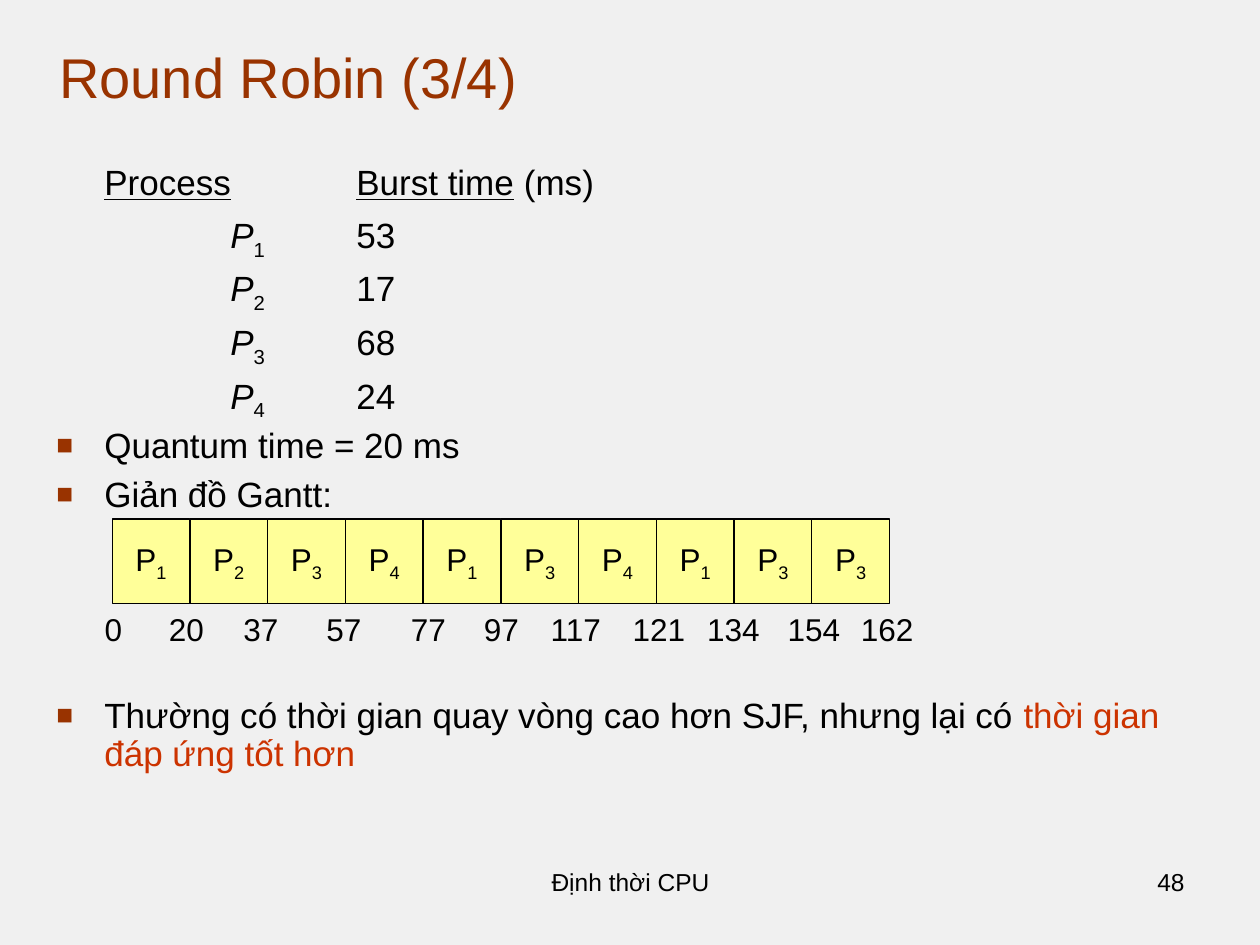
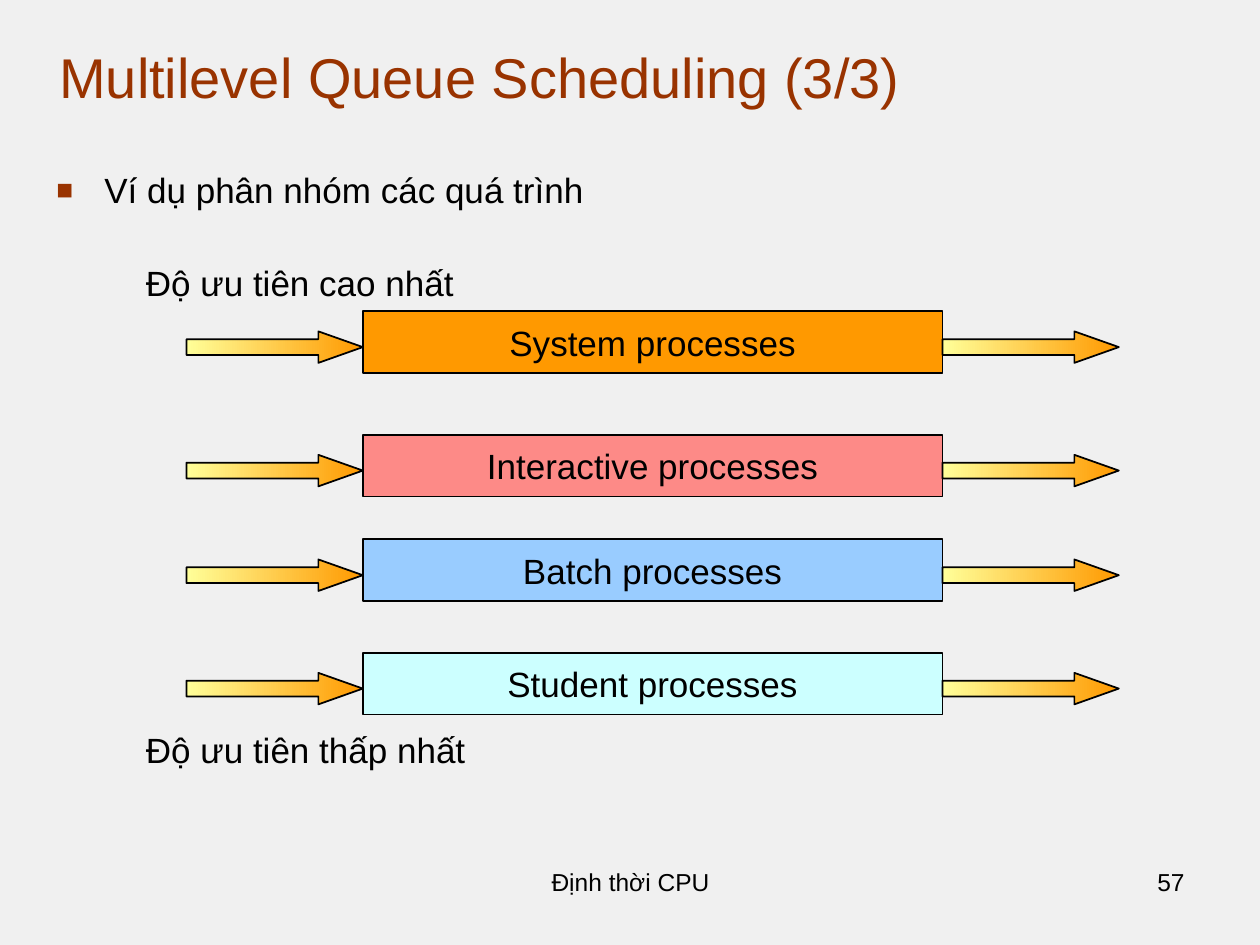
from dataclasses import dataclass

from lxml import etree
from pptx import Presentation
from pptx.dml.color import RGBColor
from pptx.enum.shapes import MSO_SHAPE
from pptx.enum.text import MSO_ANCHOR, MSO_AUTO_SIZE, PP_ALIGN
from pptx.oxml.ns import qn
from pptx.util import Inches, Pt

RECTANGLE, RIGHT_ARROW = MSO_SHAPE.RECTANGLE, MSO_SHAPE.RIGHT_ARROW
LEFT, CENTER, RIGHT = PP_ALIGN.LEFT, PP_ALIGN.CENTER, PP_ALIGN.RIGHT
TOP, MIDDLE, BOTTOM = MSO_ANCHOR.TOP, MSO_ANCHOR.MIDDLE, MSO_ANCHOR.BOTTOM
NO_AUTOFIT = MSO_AUTO_SIZE.NONE

FONT = "Arial"
BACKGROUND = RGBColor(0xF0, 0xF0, 0xF0)
BLACK = RGBColor(0x00, 0x00, 0x00)
BROWN = RGBColor(0x99, 0x33, 0x00)
RED = RGBColor(0xCC, 0x33, 0x00)
YELLOW = RGBColor(0xFF, 0xFF, 0x99)
ORANGE = RGBColor(0xFF, 0x99, 0x00)
PINK = RGBColor(0xFD, 0x8A, 0x87)
BLUE = RGBColor(0x99, 0xCC, 0xFF)
CYAN = RGBColor(0xCC, 0xFF, 0xFF)

TITLE_ONLY = 5
INDENT = 0.38
TAB_SIZE = 1
TAB_STOPS = (0, 1, 2)
PARAGRAPH_GAP = 8.8
GANTT_GAP = 105


@dataclass
class Span:
    text: str
    underline: bool = False
    italic: bool = False
    subscript: bool = False
    color: RGBColor = BLACK


@dataclass
class BodyLine:
    spans: list[Span]
    bullet: bool = True
    spacing: float = 0.8
    before: float = PARAGRAPH_GAP


@dataclass
class Burst:
    process: int
    time: int


@dataclass
class Tick:
    time: int
    center: float


@dataclass
class Queue:
    name: str
    top: float
    color: RGBColor


BURSTS = [Burst(1, 53), Burst(2, 17), Burst(3, 68), Burst(4, 24)]
GANTT_ORDER = (1, 2, 3, 4, 1, 3, 4, 1, 3, 3)
GANTT_LEFT, GANTT_TOP, GANTT_WIDTH, GANTT_HEIGHT = 0.89, 4.12, 6.17, 0.67
TICK_WIDTH, TICK_HEIGHT = 0.64, 0.4
TICKS = [
    Tick(0, 0.9), Tick(20, 1.48), Tick(37, 2.07), Tick(57, 2.73),
    Tick(77, 3.4), Tick(97, 3.98), Tick(117, 4.57), Tick(121, 5.23),
    Tick(134, 5.82), Tick(154, 6.46), Tick(162, 7.04),
]

QUEUES = [
    Queue("System processes", 2.47, ORANGE),
    Queue("Interactive processes", 3.45, PINK),
    Queue("Batch processes", 4.28, BLUE),
    Queue("Student processes", 5.18, CYAN),
]
QUEUE_LEFT, QUEUE_WIDTH, QUEUE_HEIGHT = 2.88, 4.6, 0.49
ARROW_WIDTH, ARROW_HEIGHT, ARROW_DROP = 1.4, 0.25, 0.16


def style_font(font, size: float, color: RGBColor = BLACK) -> None:
    font.name = FONT
    font.size = Pt(size)
    font.color.rgb = color


def add_spans(para, spans: list[Span], size: float) -> None:
    for span in spans:
        run = para.add_run()
        run.text = span.text
        style_font(run.font, size, span.color)
        if span.underline:
            run.font.underline = True
        if span.italic:
            run.font.italic = True
        if span.subscript:
            run.font._element.set("baseline", "-25000")


def add_label(slide, text: str, left: float, top: float, width: float,
              height: float, size: float, align=LEFT, anchor=TOP,
              wrap: bool = True) -> None:
    box = slide.shapes.add_textbox(
        Inches(left), Inches(top), Inches(width), Inches(height))
    frame = box.text_frame
    frame.text = text
    frame.word_wrap = wrap
    frame.vertical_anchor = anchor
    para = frame.paragraphs[0]
    para.alignment = align
    style_font(para.runs[0].font, size)


def add_outlined_shape(slide, preset, left: float, top: float, width: float,
                       height: float, line_width: float):
    shape = slide.shapes.add_shape(
        preset, Inches(left), Inches(top), Inches(width), Inches(height))
    shape.shadow.inherit = False
    shape.line.color.rgb = BLACK
    shape.line.width = Pt(line_width)
    return shape


def add_box(slide, spans: list[Span], left: float, top: float, width: float,
            height: float, fill: RGBColor, size: float,
            line_width: float) -> None:
    box = add_outlined_shape(
        slide, RECTANGLE, left, top, width, height, line_width)
    box.fill.solid()
    box.fill.fore_color.rgb = fill
    frame = box.text_frame
    frame.word_wrap = False
    frame.vertical_anchor = MIDDLE
    para = frame.paragraphs[0]
    para.alignment = CENTER
    add_spans(para, spans, size)


def add_flow_arrow(slide, left: float, top: float) -> None:
    arrow = add_outlined_shape(
        slide, RIGHT_ARROW, left, top, ARROW_WIDTH, ARROW_HEIGHT, 1)
    arrow.adjustments[0] = 0.5
    arrow.adjustments[1] = 1.41
    arrow.fill.gradient()
    arrow.fill.gradient_angle = 180
    for stop, position, color in zip(
            arrow.fill.gradient_stops, (0, 1), (ORANGE, YELLOW)):
        stop.position = position
        stop.color.rgb = color


def set_indent(para, bullet: bool) -> None:
    """Give a body paragraph its hanging indent, with a square or tab stops."""
    properties = para._p.get_or_add_pPr()
    properties.set("marL", str(Inches(INDENT)))
    properties.set("indent", str(-Inches(INDENT)))
    properties.set("defTabSz", str(Inches(TAB_SIZE)))
    if bullet:
        color = etree.SubElement(properties, qn("a:buClr"))
        etree.SubElement(color, qn("a:srgbClr"), val=str(BROWN))
        etree.SubElement(properties, qn("a:buSzPct"), val="80000")
        etree.SubElement(properties, qn("a:buFont"), typeface=FONT)
        etree.SubElement(properties, qn("a:buChar"), char="■")
    else:
        tabs = etree.SubElement(properties, qn("a:tabLst"))
        for stop in TAB_STOPS:
            etree.SubElement(
                tabs, qn("a:tab"), pos=str(Inches(stop)), algn="l")


def add_body(slide, lines: list[BodyLine]) -> None:
    box = slide.shapes.add_textbox(
        Inches(0.35), Inches(1.29), Inches(9.23), Inches(5.45))
    frame = box.text_frame
    frame.word_wrap = True
    for index, line in enumerate(lines):
        para = frame.add_paragraph() if index else frame.paragraphs[0]
        set_indent(para, line.bullet)
        para.line_spacing = line.spacing
        if index:
            para.space_before = Pt(line.before)
        add_spans(para, line.spans, 20)


def add_titled_slide(deck, title_text: str, number: int):
    """Add a slide with its title, footer and page number."""
    slide = deck.slides.add_slide(deck.slide_layouts[TITLE_ONLY])
    title = slide.shapes.title
    title.left, title.top = Inches(0.37), Inches(0.25)
    title.width, title.height = Inches(9.21), Inches(0.67)
    frame = title.text_frame
    frame.text = title_text
    frame.auto_size = NO_AUTOFIT
    frame.vertical_anchor = BOTTOM
    para = frame.paragraphs[0]
    para.alignment = LEFT
    style_font(para.runs[0].font, 32, BROWN)
    add_label(slide, "Định thời CPU", 3.42, 6.83, 3.17, 0.52, 14, CENTER)
    add_label(slide, str(number), 7.17, 6.83, 2.33, 0.52, 14, RIGHT)
    return slide


def process_spans(process: int, italic: bool = False) -> list[Span]:
    return [Span("P", italic=italic), Span(str(process), subscript=True)]


def add_gantt_chart(slide) -> None:
    cell_width = GANTT_WIDTH / len(GANTT_ORDER)
    for index, process in enumerate(GANTT_ORDER):
        add_box(slide, process_spans(process),
                GANTT_LEFT + index * cell_width, GANTT_TOP,
                cell_width, GANTT_HEIGHT, YELLOW, 18, 0.75)
    for tick in TICKS:
        add_label(slide, str(tick.time), tick.center - TICK_WIDTH / 2,
                  GANTT_TOP + GANTT_HEIGHT, TICK_WIDTH, TICK_HEIGHT,
                  18, CENTER, MIDDLE, wrap=False)


def build_round_robin(deck) -> None:
    slide = add_titled_slide(deck, "Round Robin (3/4)", 48)
    heading = BodyLine([
        Span("\t"), Span("Process", underline=True),
        Span("\t"), Span("Burst time", underline=True), Span(" (ms)"),
    ], bullet=False)
    burst_lines = [
        BodyLine([Span("\t\t"), *process_spans(burst.process, italic=True),
                  Span(f"\t{burst.time}")], bullet=False)
        for burst in BURSTS
    ]
    conclusion = BodyLine([
        Span("Thường có thời gian quay vòng cao hơn SJF, nhưng lại có "),
        Span("thời gian đáp ứng tốt hơn", color=RED),
    ], spacing=0.9, before=GANTT_GAP)
    add_body(slide, [
        heading,
        *burst_lines,
        BodyLine([Span("Quantum time = 20 ms")]),
        BodyLine([Span("Giản đồ Gantt:")]),
        conclusion,
    ])
    add_gantt_chart(slide)


def build_multilevel_queue(deck) -> None:
    slide = add_titled_slide(deck, "Multilevel Queue Scheduling (3/3)", 57)
    add_body(slide, [
        BodyLine([Span("Ví dụ phân nhóm các quá trình")], spacing=1.0)])
    for queue in QUEUES:
        add_box(slide, [Span(queue.name)], QUEUE_LEFT, queue.top,
                QUEUE_WIDTH, QUEUE_HEIGHT, queue.color, 20, 1)
        for left in (QUEUE_LEFT - ARROW_WIDTH, QUEUE_LEFT + QUEUE_WIDTH):
            add_flow_arrow(slide, left, queue.top + ARROW_DROP)
    add_label(slide, "Độ ưu tiên cao nhất", 1.06, 2.03, 2.74, 0.43, 20)
    add_label(slide, "Độ ưu tiên thấp nhất", 1.06, 5.73, 2.74, 0.43, 20)


def main() -> None:
    deck = Presentation()
    deck.slide_width, deck.slide_height = Inches(10), Inches(7.5)
    background = deck.slide_master.background.fill
    background.solid()
    background.fore_color.rgb = BACKGROUND
    build_round_robin(deck)
    build_multilevel_queue(deck)
    deck.save("out.pptx")


if __name__ == "__main__":
    main()
